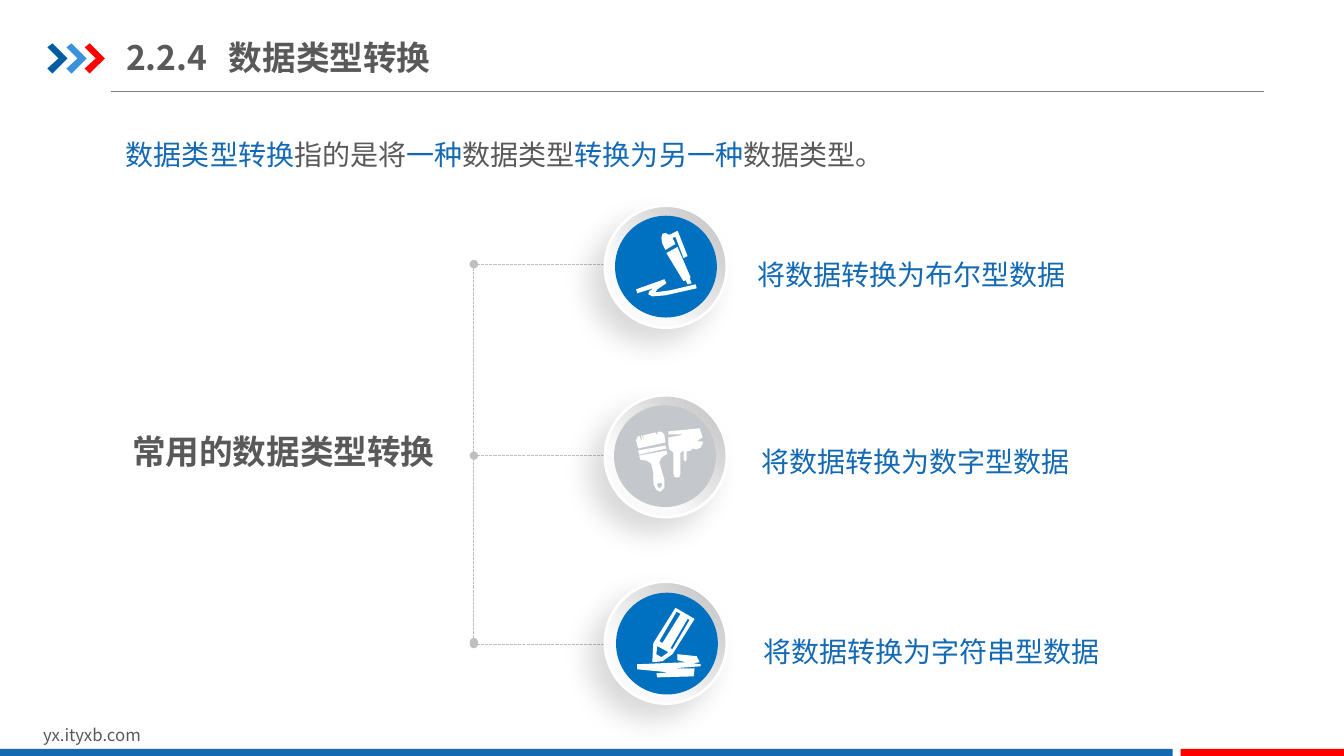
from lxml.etree import SubElement
from pptx import Presentation
from pptx.dml.color import RGBColor
from pptx.enum.dml import MSO_LINE
from pptx.enum.shapes import MSO_CONNECTOR, MSO_SHAPE
from pptx.enum.text import MSO_ANCHOR, PP_ALIGN
from pptx.oxml.ns import qn
from pptx.util import Pt

PX = 9144  # 100 px to the inch
FONT = "Noto Sans CJK SC"
WHITE = RGBColor(0xFF, 0xFF, 0xFF)
GRAY = RGBColor(0x59, 0x59, 0x59)
RULE_GRAY = RGBColor(0x80, 0x80, 0x80)
LINE_GRAY = RGBColor(0xBF, 0xBF, 0xBF)
PALE = RGBColor(0xFA, 0xFA, 0xFA)
DISC_GRAY = RGBColor(0xC4, 0xC7, 0xCB)
DISC_BLUE = RGBColor(0x00, 0x70, 0xC0)
TEXT_BLUE = RGBColor(0x13, 0x69, 0xB3)
BAR_BLUE = RGBColor(0x13, 0x69, 0xB2)
NAVY = RGBColor(0x00, 0x5D, 0xA2)
SKY = RGBColor(0x39, 0x92, 0xDB)
RED = RGBColor(0xFF, 0x00, 0x00)

# Icon outlines, one list of points per contour
PEN = [
    [(661, 251), (672, 245), (685, 275), (684, 276), (686, 281), (682, 282),
     (680, 278), (678, 279)],
    [(631, 287), (632, 291), (648, 286), (644, 289), (643, 292), (647, 294),
     (660, 293), (691, 286), (690, 282), (665, 288), (650, 290), (652, 287),
     (661, 281), (659, 277)],
    [(664, 233), (660, 231), (657, 232), (656, 236), (657, 242), (660, 248),
     (670, 242), (667, 236), (670, 235), (678, 256), (682, 254), (673, 231),
     (672, 229), (670, 230)],
]
BRUSHES = [
    [(681, 448), (681, 456), (680, 458), (678, 456), (678, 447), (675, 449),
     (675, 470), (674, 473), (672, 474), (669, 473), (668, 470), (668, 449),
     (664, 446), (663, 441), (663, 434), (675, 432), (677, 431), (663, 431),
     (663, 428), (694, 425), (697, 434), (692, 437), (692, 438), (697, 438),
     (697, 440), (695, 444), (691, 446), (687, 445), (685, 447)],
    [(633, 447), (660, 442), (661, 445), (634, 451)],
    [(661, 447), (634, 452), (635, 456), (641, 457), (646, 460), (648, 469),
     (648, 480), (651, 486), (655, 488), (659, 484), (659, 476), (654, 459),
     (656, 454), (662, 450)],
    [(654, 479), (656, 479), (657, 481), (656, 483), (655, 484), (653, 484),
     (652, 482), (652, 480)],
    [(660, 439), (659, 431), (657, 429), (654, 428), (652, 429), (652, 432),
     (650, 429), (638, 432), (639, 439), (637, 432), (636, 432), (637, 439),
     (634, 432), (632, 434), (631, 437), (633, 445)],
]
PENCIL = [
    [(670, 603), (689, 614), (667, 649), (657, 656), (647, 657), (648, 638)],
    [(688, 671), (689, 663), (668, 663), (695, 661), (695, 659), (687, 658),
     (694, 657), (691, 651), (672, 649), (672, 655), (680, 657), (632, 659),
     (632, 664), (663, 667), (651, 668), (652, 672)],
    [(656, 652), (663, 647), (652, 641), (651, 649)],
    [(682, 614), (665, 643), (667, 644), (684, 615)],
    [(671, 607), (654, 636), (657, 638), (675, 609)],
]

prs = Presentation()
prs.slide_width, prs.slide_height = 1333 * PX, 750 * PX
s = prs.slides.add_slide(prs.slide_layouts[5])


def add_text(x, y, w, h, runs, size, bold=False, inset=0, spacing=None, sp=None):
    """Fill a text box, or the given placeholder, with (text, colour) runs."""
    if sp is None:
        sp = s.shapes.add_textbox(0, 0, 0, 0)
    sp.left, sp.top, sp.width, sp.height = x * PX, y * PX, w * PX, h * PX
    tf = sp.text_frame
    tf.word_wrap = True
    tf.margin_left = tf.margin_right = inset * PX
    tf.margin_top = tf.margin_bottom = inset // 2 * PX
    tf.vertical_anchor = MSO_ANCHOR.TOP
    p = tf.paragraphs[0]
    p.alignment = PP_ALIGN.LEFT
    if spacing:
        p.line_spacing = spacing
    for text, color in runs:
        r = p.add_run()
        r.text = text
        r.font.size, r.font.bold = Pt(size), bold
        r.font.color.rgb = color
        r.font.name = FONT
        SubElement(r.font._element, qn("a:ea")).set("typeface", FONT)
    return sp


def add_outline(contours, color):
    """Draw a filled freeform from closed contours."""
    fb = s.shapes.build_freeform(*contours[0][0], scale=PX)
    for i, points in enumerate(contours):
        if i:
            fb.move_to(*points[0])
        fb.add_line_segments(points[1:], close=True)
    sp = fb.convert_to_shape()
    sp.shadow.inherit = False
    sp.fill.solid()
    sp.fill.fore_color.rgb = color
    sp.line.fill.background()


# Title with its number set off by a tab
title = add_text(125, 29, 573, 55, [("2.2.4\t数据类型转换", GRAY)], 24, bold=True,
                 sp=s.shapes.title)
title.text_frame.vertical_anchor = MSO_ANCHOR.MIDDLE
pPr = title.text_frame.paragraphs[0]._p.get_or_add_pPr()
tab = SubElement(SubElement(pPr, qn("a:tabLst")), qn("a:tab"))
tab.set("pos", str(102 * PX))
tab.set("algn", "l")

# Header chevrons
for x, color in [(47, NAVY), (66, SKY), (84, RED)]:
    add_outline([[(x, 47), (x + 5, 43), (x + 20, 58), (x + 5, 73), (x, 68),
                  (x + 11, 58)]], color)

# Footer address and bars
add_text(33, 714, 318, 30, [("yx.ityxb.com", GRAY)], 12, inset=10)
for x, w, color in [(0, 1163, BAR_BLUE), (1171, 163, RED)]:
    sp = s.shapes.add_shape(MSO_SHAPE.RECTANGLE, x * PX, 743 * PX, w * PX, 9 * PX)
    sp.shadow.inherit = False
    sp.fill.solid()
    sp.fill.fore_color.rgb = color
    sp.line.fill.background()

# Definition and branch heading
add_text(115, 115, 1165, 55, [
    ("数据类型转换", TEXT_BLUE), ("指的是将", GRAY), ("一种", TEXT_BLUE),
    ("数据类型", GRAY), ("转换为另一种", TEXT_BLUE), ("数据类型。", GRAY),
], 20, inset=10, spacing=1.5)
add_text(131, 428, 354, 36, [("常用的数据类型转换", GRAY)], 24, bold=True)

# Header rule and dotted branch lines
for x1, y1, x2, y2, dotted in [
    (110, 91, 1254, 91, False), (664, 262, 470, 262, True),
    (664, 452, 470, 452, True), (664, 639, 470, 639, True),
    (470, 262, 470, 637, True),
]:
    line = s.shapes.add_connector(MSO_CONNECTOR.STRAIGHT, x1 * PX, y1 * PX,
                                  x2 * PX, y2 * PX)
    line.line.width = Pt(0.75)
    line.line.color.rgb = LINE_GRAY if dotted else RULE_GRAY
    if dotted:
        line.line.dash_style = MSO_LINE.SQUARE_DOT
        for end in ("a:headEnd", "a:tailEnd"):
            SubElement(line.line._get_or_add_ln(), qn(end)).set("type", "oval")
    SubElement(line._element.spPr, qn("a:effectLst"))

# Conversion rows: ring, disc, icon and label
for ring_y, disc_x, disc_y, disc_color, icon, label_x, label_y, label in [
    (204, 610, 214, DISC_BLUE, PEN, 751, 249, "将数据转换为布尔型数据"),
    (392, 609, 402, DISC_GRAY, BRUSHES, 755, 434, "将数据转换为数字型数据"),
    (577, 611, 588, DISC_BLUE, PENCIL, 757, 623, "将数据转换为字符串型数据"),
]:
    ring = s.shapes.add_shape(MSO_SHAPE.OVAL, 600 * PX, ring_y * PX, 121 * PX, 121 * PX)
    ring.fill.gradient()
    ring.fill.gradient_angle = 225
    for stop, color, pos in zip(ring.fill.gradient_stops, (LINE_GRAY, PALE), (0, 0.7)):
        stop.color.rgb, stop.position = color, pos
    ring.line.color.rgb = WHITE
    ring.line.width = Pt(2)
    ring.shadow.inherit = False
    shadow = SubElement(ring._element.spPr.find(qn("a:effectLst")), qn("a:outerShdw"),
                        blurRad=str(Pt(20)), dist=str(Pt(15)), dir="8100000",
                        algn="ctr", rotWithShape="0")
    black = SubElement(shadow, qn("a:srgbClr"), val="000000")
    SubElement(black, qn("a:alpha"), val="15000")

    disc = s.shapes.add_shape(MSO_SHAPE.OVAL, disc_x * PX, disc_y * PX, 101 * PX, 101 * PX)
    disc.shadow.inherit = False
    disc.fill.solid()
    disc.fill.fore_color.rgb = disc_color
    disc.line.fill.background()

    add_outline(icon, WHITE)
    tb = add_text(label_x, label_y, 446, 40, [(label, TEXT_BLUE)], 20, spacing=1.2)
    tb.text_frame.paragraphs[0].alignment = PP_ALIGN.JUSTIFY

prs.save("out.pptx")
